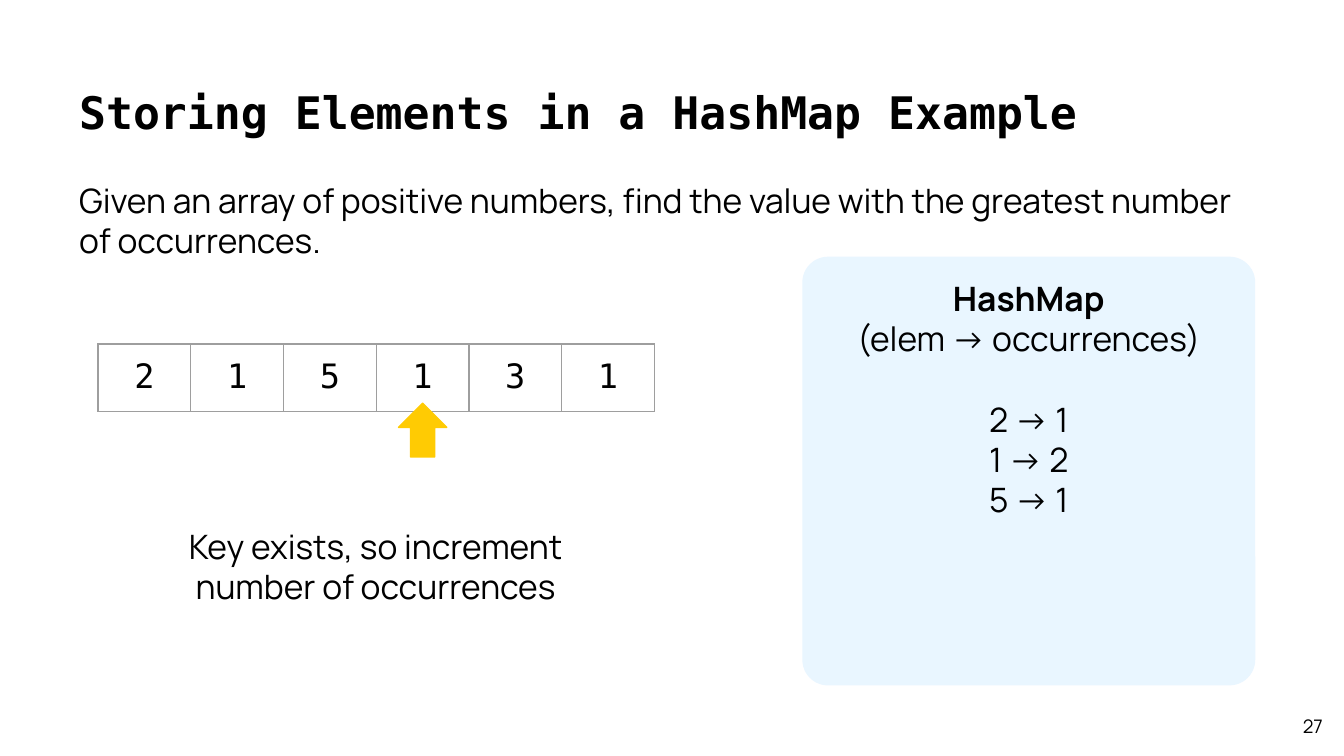
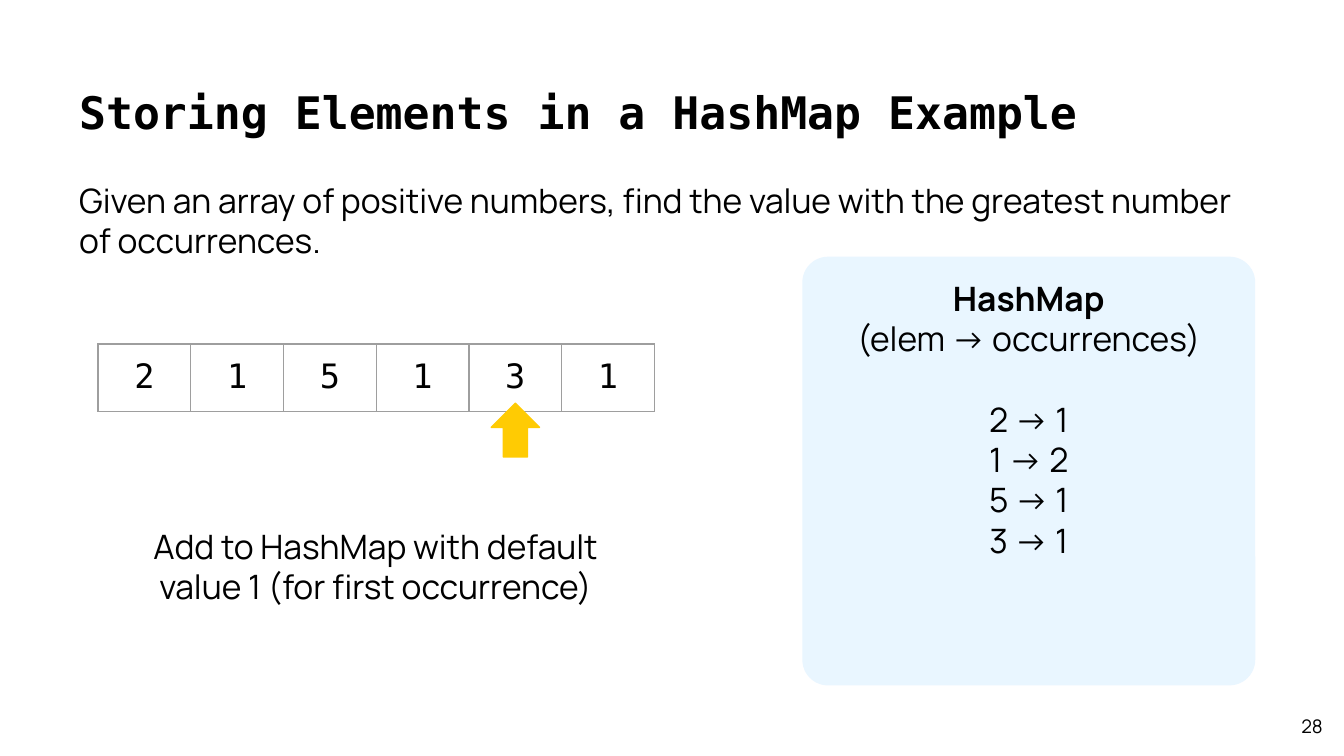
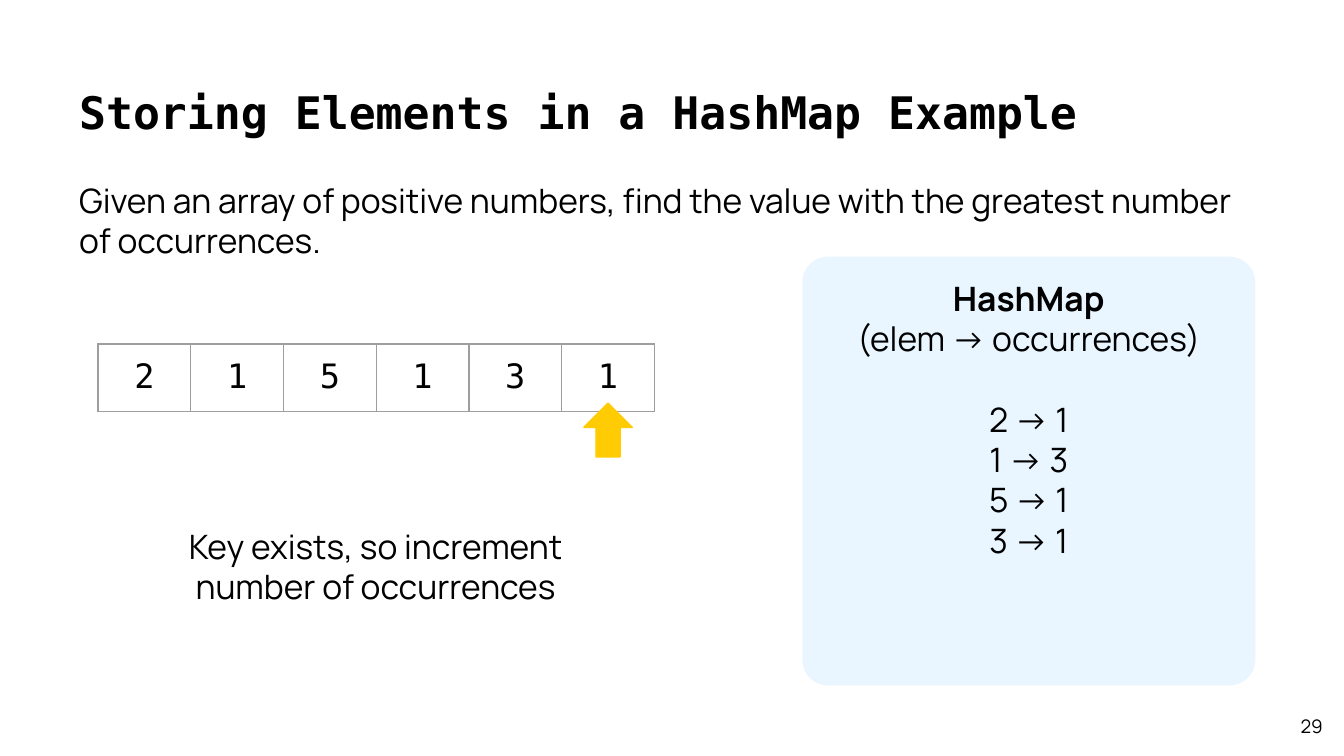
from lxml import etree
from pptx import Presentation
from pptx.dml.color import RGBColor
from pptx.enum.shapes import MSO_SHAPE
from pptx.enum.text import MSO_ANCHOR, PP_ALIGN
from pptx.oxml.ns import qn
from pptx.util import Inches, Pt

LEFT, MID, RIGHT = PP_ALIGN.LEFT, PP_ALIGN.CENTER, PP_ALIGN.RIGHT
TOP, CENTRE = MSO_ANCHOR.TOP, MSO_ANCHOR.MIDDLE
ROUND, ARROW = MSO_SHAPE.ROUNDED_RECTANGLE, MSO_SHAPE.UP_ARROW

# Shared style
WIDE, HIGH = Inches(10), Inches(5.625)
UNIT = WIDE // 100  # the slide is a grid of 100 square columns
MONO, SANS = "DejaVu Sans Mono", "Manrope"
INK = {"text": "000000", "panel": "E9F6FF", "arrow": "FFCB03",
       "rule": "9E9E9E", "page": "FFFFFF"}

# Shared content
TITLE = "Storing Elements in a HashMap Example"
TASK = ("Given an array of positive numbers, find the value "
        "with the greatest number of occurrences.")
ARRAY = [2, 1, 5, 1, 3, 1]
ADDED = "Add to HashMap with default value 1 (for first occurrence)"
FOUND = "Key exists, so increment number of occurrences"

# Page number, index in the array, counts so far, caption
STEPS = [
    (27, 3, {2: 1, 1: 2, 5: 1}, FOUND),
    (28, 4, {2: 1, 1: 2, 5: 1, 3: 1}, ADDED),
    (29, 5, {2: 1, 1: 3, 5: 1, 3: 1}, FOUND),
]

# Array grid, in units
ROW_X, ROW_Y, CELL_W, CELL_H = 7.3, 25.6, 6.9, 4.2


def rgb(name):
    return RGBColor.from_string(INK[name])


def grid(*cells):
    return [round(n * UNIT) for n in cells]


def write(frame, text, size=18, font=SANS, bold=False, align=LEFT,
          gap=0, new=False):
    par = frame.add_paragraph() if new else frame.paragraphs[0]
    par.alignment = align
    if gap:
        par.space_before = Pt(gap)
    run = par.add_run()
    run.text = text
    run.font.size, run.font.name, run.font.bold = Pt(size), font, bold
    run.font.color.rgb = rgb("text")


def setup(frame, anchor=TOP):
    frame.word_wrap = True
    frame.vertical_anchor = anchor
    frame.margin_left = frame.margin_right = UNIT
    frame.margin_top = frame.margin_bottom = UNIT


def label(slide, place, text, anchor=TOP, **style):
    box = slide.shapes.add_textbox(*grid(*place))
    setup(box.text_frame, anchor)
    write(box.text_frame, text, **style)


def block(slide, kind, place, fill, line=None):
    shape = slide.shapes.add_shape(kind, *grid(*place))
    shape.shadow.inherit = False
    shape.fill.solid()
    shape.fill.fore_color.rgb = rgb(fill)
    if line:
        shape.line.color.rgb = rgb(line)
        shape.line.width = Pt(0.75)
    else:
        shape.line.fill.background()
    return shape


def border(cell):
    props = cell._tc.get_or_add_tcPr()
    for spot, side in enumerate(("lnL", "lnR", "lnT", "lnB")):
        line = etree.Element(qn("a:" + side), w=str(Pt(0.75)))
        fill = etree.SubElement(line, qn("a:solidFill"))
        etree.SubElement(fill, qn("a:srgbClr"), val=INK["rule"])
        props.insert(spot, line)


def array(slide, values):
    count = len(values)
    place = grid(ROW_X, ROW_Y, CELL_W * count, CELL_H)
    table = slide.shapes.add_table(1, count, *place).table
    table.first_row = table.horz_banding = False
    for col, value in enumerate(values):
        table.columns[col].width = round(CELL_W * UNIT)
        cell = table.cell(0, col)
        cell.fill.background()
        cell.margin_left = cell.margin_right = UNIT
        cell.margin_top = cell.margin_bottom = UNIT
        write(cell.text_frame, str(value), font=MONO, align=MID)
        border(cell)


def panel(slide, counts):
    shape = block(slide, ROUND, (59.7, 19.1, 33.7, 31.9), "panel")
    shape.adjustments[0] = 0.06
    frame = shape.text_frame
    setup(frame)
    write(frame, "HashMap", bold=True, align=MID)
    write(frame, "(elem -> occurrences)", align=MID, new=True)
    for row, (key, count) in enumerate(counts.items()):
        write(frame, f"{key} -> {count}", align=MID, new=True,
              gap=0 if row else 21.6)


def pointer(slide, index):
    wide = 3.6
    left = ROW_X + (index + 0.5) * CELL_W - wide / 2
    block(slide, ARROW, (left, 30, wide, 4), "arrow", line="arrow")


def step(deck, page, index, counts, note):
    slide = deck.slides.add_slide(deck.slide_layouts[6])
    slide.background.fill.solid()
    slide.background.fill.fore_color.rgb = rgb("page")
    # Heading and page number
    label(slide, (4.9, 5.3, 90.1, 6.3), TITLE, size=24, font=MONO, bold=True)
    label(slide, (4.9, 12.4, 90.1, 8.3), TASK)
    label(slide, (93.4, 52.4, 6, 3.3), str(page), size=10, align=RIGHT,
          anchor=CENTRE)
    # Array, map and current element
    array(slide, ARRAY)
    panel(slide, counts)
    pointer(slide, index)
    label(slide, (8.8, 38.1, 38.3, 8.3), note, align=MID)


def main():
    deck = Presentation()
    deck.slide_width, deck.slide_height = WIDE, HIGH
    for item in STEPS:
        step(deck, *item)
    deck.save("out.pptx")


if __name__ == "__main__":
    main()
